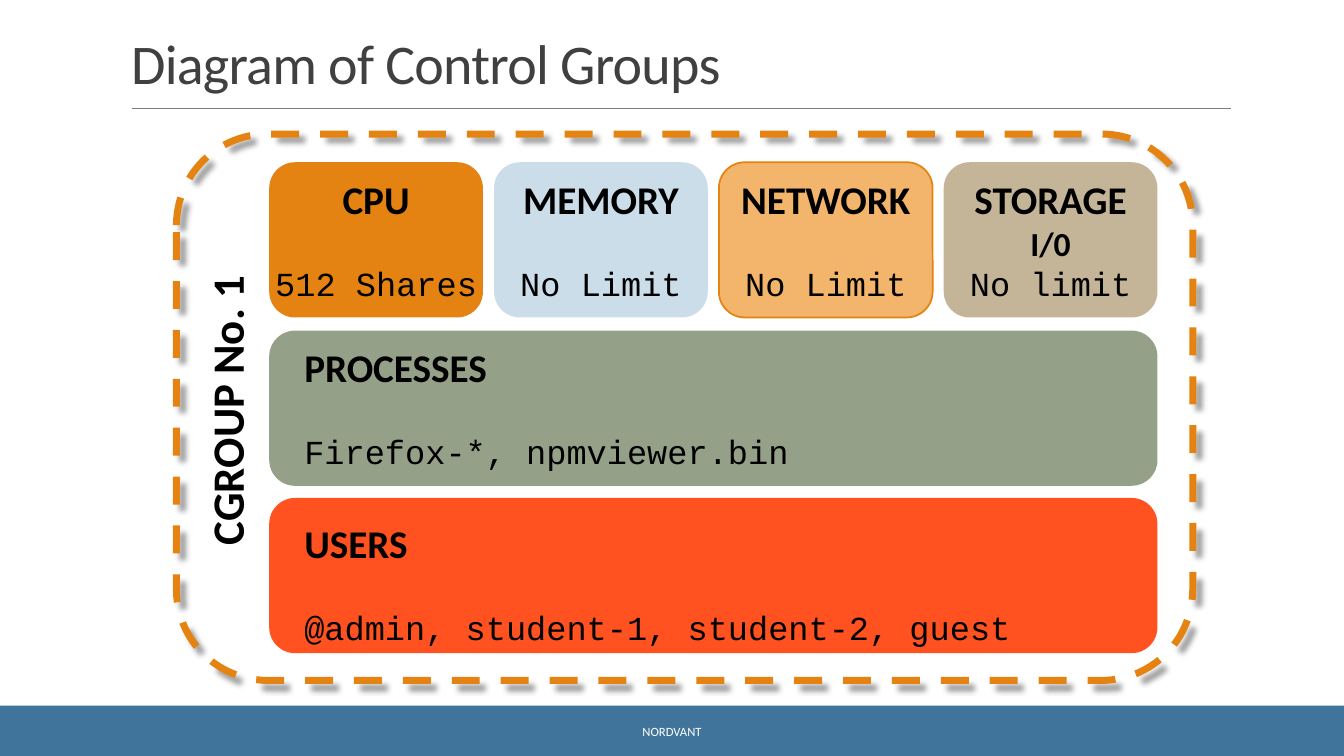
"""Builds a one-slide diagram of a Linux control group."""
from dataclasses import dataclass

from lxml import etree
from pptx import Presentation
from pptx import util as u
from pptx.dml.color import RGBColor
from pptx.enum import dml, shapes, text
from pptx.oxml.ns import qn


@dataclass(frozen=True)
class Theme:
    """Colours, fonts and type sizes of the slide."""
    ink: str = "000000"
    title: str = "404040"
    white: str = "FFFFFF"
    rule: str = "808080"
    band: str = "40749B"
    orange: str = "E48312"
    blue: str = "CCDDEA"
    peach: str = "F3B56C"
    sand: str = "C5B598"
    green: str = "94A088"
    red: str = "FF5220"
    sans: str = "Calibri"
    mono: str = "Courier New"
    title_size: int = 40
    group_size: int = 32
    heading_size: int = 28
    value_size: int = 24
    footer_size: int = 9


T = Theme()
ROW_LEFT, ROW_TOP, ROW_HEIGHT = 2.67, 1.61, 1.54
CARD_WIDTH, CARD_STEP = 2.12, 2.23
BLANK_LINE = 29
CARDS = [
    ("CPU", None, "512 Shares", T.orange, None, 2.22),
    ("MEMORY", None, "No Limit", T.blue, None, 1.81),
    ("NETWORK", None, "No Limit", T.peach, T.orange, 1.9),
    ("STORAGE", "I/0", "No limit", T.sand, None, 1.81),
]
BARS = [
    ("PROCESSES", "Firefox-*, npmviewer.bin", T.green, 3.28, 3.36, 5.04),
    ("USERS", "@admin, student-1, student-2, guest", T.red, 4.94, 5.1, 7.26),
]


def rgb(colour):
    """Turn a hex string into a colour."""
    return RGBColor.from_string(colour)


def box(at):
    """Turn left, top, width and height in inches into lengths."""
    return [u.Inches(v) for v in at]


def write(p, words, size, font=T.sans, colour=T.ink, bold=False,
          align=None, before=0):
    """Write one formatted run into a paragraph."""
    r = p.add_run()
    r.text = words
    r.font.size, r.font.name, r.font.bold = u.Pt(size), font, bold
    r.font.color.rgb = rgb(colour)
    p.alignment = align
    if before:
        p.space_before = u.Pt(before)
    return r


def add_block(s, kind, at, fill=None, line=None, width=1.25):
    """Add a flat shape with an optional fill and outline."""
    sp = s.shapes.add_shape(kind, *box(at))
    sp.shadow.inherit = False
    if fill:
        sp.fill.solid()
        sp.fill.fore_color.rgb = rgb(fill)
    else:
        sp.fill.background()
    if line:
        sp.line.color.rgb = rgb(line)
        sp.line.width = u.Pt(width)
    else:
        sp.line.fill.background()
    return sp


def add_text(s, at, lines, wrap=False, anchor=text.MSO_ANCHOR.TOP):
    """Add a text box with one paragraph per set of write() arguments."""
    sp = s.shapes.add_textbox(*box(at))
    tf = sp.text_frame
    tf.word_wrap, tf.vertical_anchor = wrap, anchor
    if not wrap:
        tf.auto_size = text.MSO_AUTO_SIZE.SHAPE_TO_FIT_TEXT
    for i, line in enumerate(lines):
        p = tf.add_paragraph() if i else tf.paragraphs[0]
        write(p, **line)
    return sp


def add_entry(s, at, heading, value, unit=None, align=None):
    """Add a heading with a value two lines below it."""
    lines = [dict(words=heading, size=T.heading_size, bold=True, align=align)]
    if unit:
        lines.append(dict(words=unit, size=T.value_size, bold=True, align=align))
    lines.append(dict(words=value, size=T.value_size, font=T.mono, align=align,
                      before=0 if unit else BLANK_LINE))
    add_text(s, at, lines)


def add_shadow(sp):
    """Give a shape a soft shadow towards the lower right."""
    effects = sp._element.spPr.find(qn("a:effectLst"))
    shadow = etree.SubElement(effects, qn("a:outerShdw"), blurRad=str(u.Pt(4)),
                              dist=str(u.Pt(6)), dir="2700000", rotWithShape="0")
    colour = etree.SubElement(shadow, qn("a:srgbClr"), val=T.ink)
    etree.SubElement(colour, qn("a:alpha"), val="40000")


def add_title(s, words):
    """Place and format the title and the rule beneath it."""
    sp = s.shapes.title
    sp.left, sp.top, sp.width, sp.height = box((1.2, 0.31, 11, 0.69))
    tf = sp.text_frame
    tf.vertical_anchor = text.MSO_ANCHOR.BOTTOM
    tf.auto_size = text.MSO_AUTO_SIZE.NONE
    p = tf.paragraphs[0]
    r = write(p, words, T.title_size, colour=T.title, align=text.PP_ALIGN.LEFT)
    r.font._element.set("spc", "-50")
    p.line_spacing = 0.85
    rule = s.shapes.add_connector(shapes.MSO_CONNECTOR.STRAIGHT,
                                  *box((1.31, 1.08, 12.21, 1.08)))
    rule.line.color.rgb = rgb(T.rule)
    rule.line.width = u.Pt(0.5)
    etree.SubElement(rule._element.spPr, qn("a:effectLst"))


def add_footer(s, words):
    """Add the band along the bottom with its centred label."""
    add_block(s, shapes.MSO_SHAPE.RECTANGLE, (0, 7, 13.33, 0.5), T.band)
    label = dict(words=words, size=T.footer_size, colour=T.white,
                 align=text.PP_ALIGN.CENTER)
    add_text(s, (4.03, 7.06, 5.27, 0.4), [label], wrap=True,
             anchor=text.MSO_ANCHOR.MIDDLE)


def add_group(s, words):
    """Add the dashed group frame and its upright label."""
    frame = add_block(s, shapes.MSO_SHAPE.ROUNDED_RECTANGLE,
                      (1.75, 1.33, 10.08, 5.42), line=T.orange, width=5)
    frame.line.dash_style = dml.MSO_LINE.DASH
    add_shadow(frame)
    label = dict(words=words, size=T.group_size, bold=True)
    add_text(s, (0.8, 3.74, 2.89, 0.64), [label]).rotation = 270


def add_cards(s):
    """Add the row of resource cards."""
    for i, (heading, unit, value, fill, line, width) in enumerate(CARDS):
        left = ROW_LEFT + i * CARD_STEP
        add_block(s, shapes.MSO_SHAPE.ROUNDED_RECTANGLE,
                  (left, ROW_TOP, CARD_WIDTH, ROW_HEIGHT), fill, line)
        add_entry(s, (left + (CARD_WIDTH - width) / 2, 1.69, width, 1.38),
                  heading, value, unit, text.PP_ALIGN.CENTER)


def add_bars(s):
    """Add the full-width bars below the cards."""
    bar_width = CARD_STEP * (len(CARDS) - 1) + CARD_WIDTH
    for heading, value, fill, top, text_top, width in BARS:
        add_block(s, shapes.MSO_SHAPE.ROUNDED_RECTANGLE,
                  (ROW_LEFT, top, bar_width, ROW_HEIGHT), fill)
        add_entry(s, (2.92, text_top, width, 1.38), heading, value)


def main():
    """Build and save the slide."""
    prs = Presentation()
    prs.slide_width, prs.slide_height = u.Inches(13.33), u.Inches(7.5)
    s = prs.slides.add_slide(prs.slide_layouts[5])
    add_footer(s, "NORDVANT")
    add_title(s, "Diagram of Control Groups")
    add_group(s, "CGROUP No. 1")
    add_bars(s)
    add_cards(s)
    prs.save("out.pptx")


if __name__ == "__main__":
    main()
